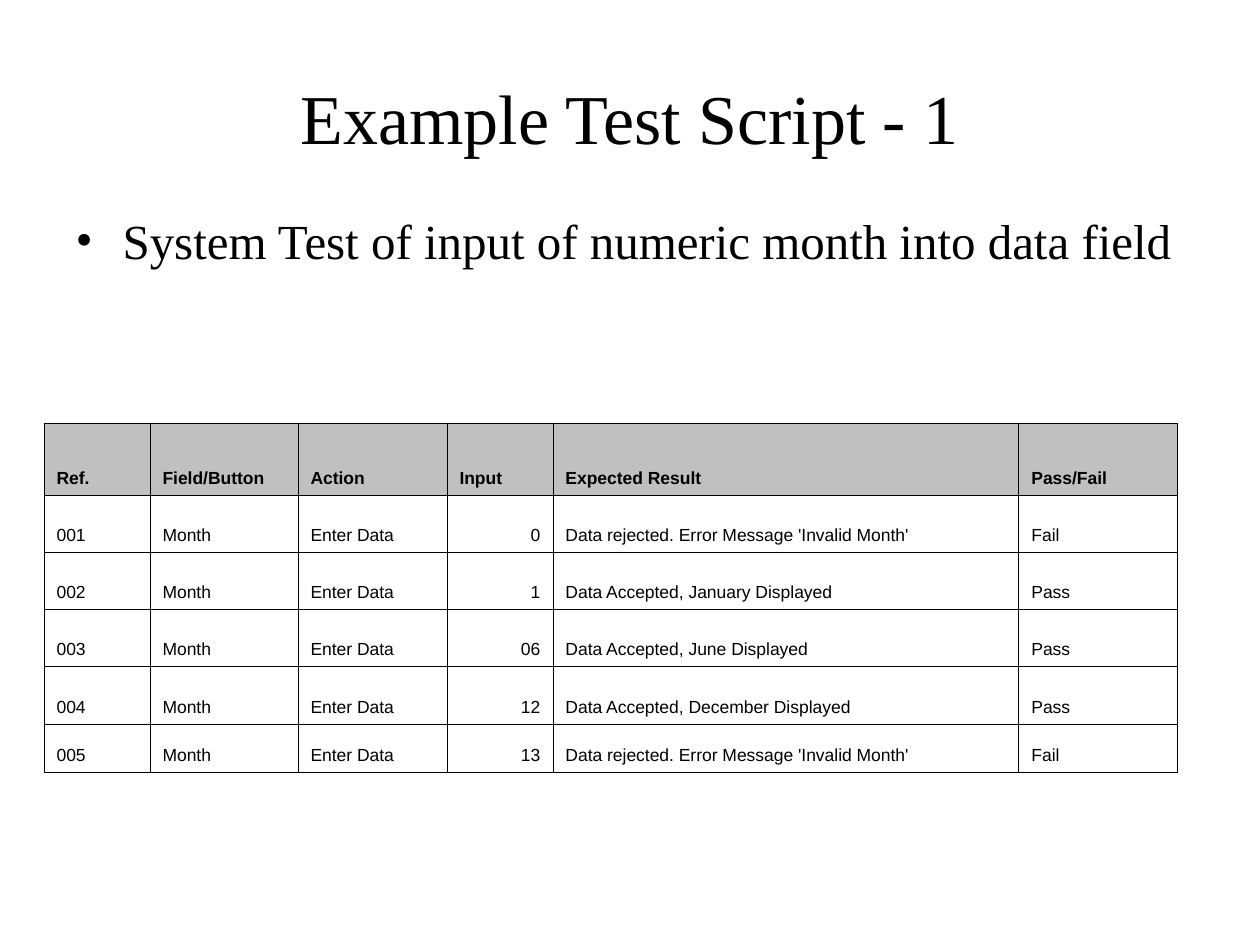
"""Build the example test script slide: a title, one bullet and a table of test steps."""
from dataclasses import astuple, dataclass

from pptx import Presentation
from pptx.dml.color import RGBColor
from pptx.enum.text import MSO_ANCHOR as Anchor, MSO_AUTO_SIZE as AutoSize, PP_ALIGN as Align
from pptx.oxml import parse_xml
from pptx.oxml.ns import nsdecls
from pptx.util import Emu, Pt

PX_PER_INCH = 126
COLORS = {"ink": "000000", "header": "C0C0C0"}
SERIF, SANS = "Times New Roman", "Arial"
COLUMN_WIDTHS = (106, 148, 149, 106, 466, 159)
ROW_HEIGHTS = (72, 57, 57, 57, 58, 48)
INPUT_COLUMN = 3
CELL_INDENT = 48
BULLET_INDENT = 47


@dataclass(frozen=True)
class Box:
    left: int
    top: int
    width: int
    height: int


@dataclass(frozen=True)
class Step:
    ref: str
    field: str
    action: str
    entry: str
    expected: str
    outcome: str


TITLE_BOX = Box(63, 38, 1134, 158)
BODY_BOX = Box(63, 204, 1134, 208)
TABLE_BOX = Box(44, 423, sum(COLUMN_WIDTHS), sum(ROW_HEIGHTS))
REJECTED = "Data rejected. Error Message 'Invalid Month'"
STEPS = (
    Step("Ref.", "Field/Button", "Action", "Input", "Expected Result", "Pass/Fail"),
    Step("001", "Month", "Enter Data", "0", REJECTED, "Fail"),
    Step("002", "Month", "Enter Data", "1", "Data Accepted, January Displayed", "Pass"),
    Step("003", "Month", "Enter Data", "06", "Data Accepted, June Displayed", "Pass"),
    Step("004", "Month", "Enter Data", "12", "Data Accepted, December Displayed", "Pass"),
    Step("005", "Month", "Enter Data", "13", REJECTED, "Fail"),
)


def px(length: int) -> Emu:
    return Emu(round(length * 914400 / PX_PER_INCH))


def place(box: Box) -> tuple[Emu, ...]:
    return tuple(px(length) for length in astuple(box))


def write(frame, text: str, *, font: str, size: int, bold: bool = False,
          align=Align.LEFT, indent: int = 0, before: int = 0, bullet: bool = False) -> None:
    para = frame.paragraphs[0]
    para.alignment = align
    para.space_before = Pt(before)
    properties = para._p.get_or_add_pPr()
    properties.set("marL", str(px(indent)))
    properties.set("indent", str(-px(indent)))
    if bullet:
        for markup in (
            f'<a:buClr {nsdecls("a")}><a:srgbClr val="{COLORS["ink"]}"/></a:buClr>',
            f'<a:buFont {nsdecls("a")} typeface="{font}"/>',
            f'<a:buChar {nsdecls("a")} char="•"/>',
        ):
            properties.append(parse_xml(markup))
    span = para.add_run()
    span.text = text
    span.font.name = font
    span.font.size = Pt(size)
    span.font.bold = bold
    span.font.color.rgb = RGBColor.from_string(COLORS["ink"])


def fill_placeholder(shape, box: Box, text: str, *, anchor, **style) -> None:
    shape.left, shape.top, shape.width, shape.height = place(box)
    frame = shape.text_frame
    frame.auto_size = AutoSize.NONE
    frame.word_wrap = True
    frame.vertical_anchor = anchor
    write(frame, text, **style)


def add_borders(cell) -> None:
    properties = cell._tc.get_or_add_tcPr()
    for side in "LRTB":
        properties.append(parse_xml(
            f'<a:ln{side} {nsdecls("a")} w="{Pt(0.45)}"><a:solidFill>'
            f'<a:srgbClr val="{COLORS["ink"]}"/></a:solidFill></a:ln{side}>'))


def fill_cell(cell, text: str, *, header: bool, align) -> None:
    add_borders(cell)
    if header:
        cell.fill.solid()
        cell.fill.fore_color.rgb = RGBColor.from_string(COLORS["header"])
    else:
        cell.fill.background()
    cell.vertical_anchor = Anchor.BOTTOM
    write(cell.text_frame, text, font=SANS, size=10, bold=header,
          align=align, indent=CELL_INDENT)


def add_steps(page) -> None:
    table = page.shapes.add_table(len(STEPS), len(COLUMN_WIDTHS), *place(TABLE_BOX)).table
    table.first_row = table.horz_banding = False
    for column, width in zip(table.columns, COLUMN_WIDTHS):
        column.width = px(width)
    for row, height in zip(table.rows, ROW_HEIGHTS):
        row.height = px(height)
    for row_index, step in enumerate(STEPS):
        header = row_index == 0
        for column_index, text in enumerate(astuple(step)):
            numeric = column_index == INPUT_COLUMN and not header
            fill_cell(table.cell(row_index, column_index), text, header=header,
                      align=Align.RIGHT if numeric else Align.LEFT)


def main() -> None:
    deck = Presentation()
    deck.slide_width, deck.slide_height = px(1260), px(945)
    page = deck.slides.add_slide(deck.slide_layouts[1])
    fill_placeholder(page.shapes.title, TITLE_BOX, "Example Test Script - 1",
                     anchor=Anchor.MIDDLE, font=SERIF, size=40, align=Align.CENTER)
    add_steps(page)
    fill_placeholder(page.placeholders[1], BODY_BOX,
                     "System Test of input of numeric month into data field",
                     anchor=Anchor.TOP, font=SERIF, size=28, indent=BULLET_INDENT,
                     before=8, bullet=True)
    deck.save("out.pptx")


if __name__ == "__main__":
    main()
